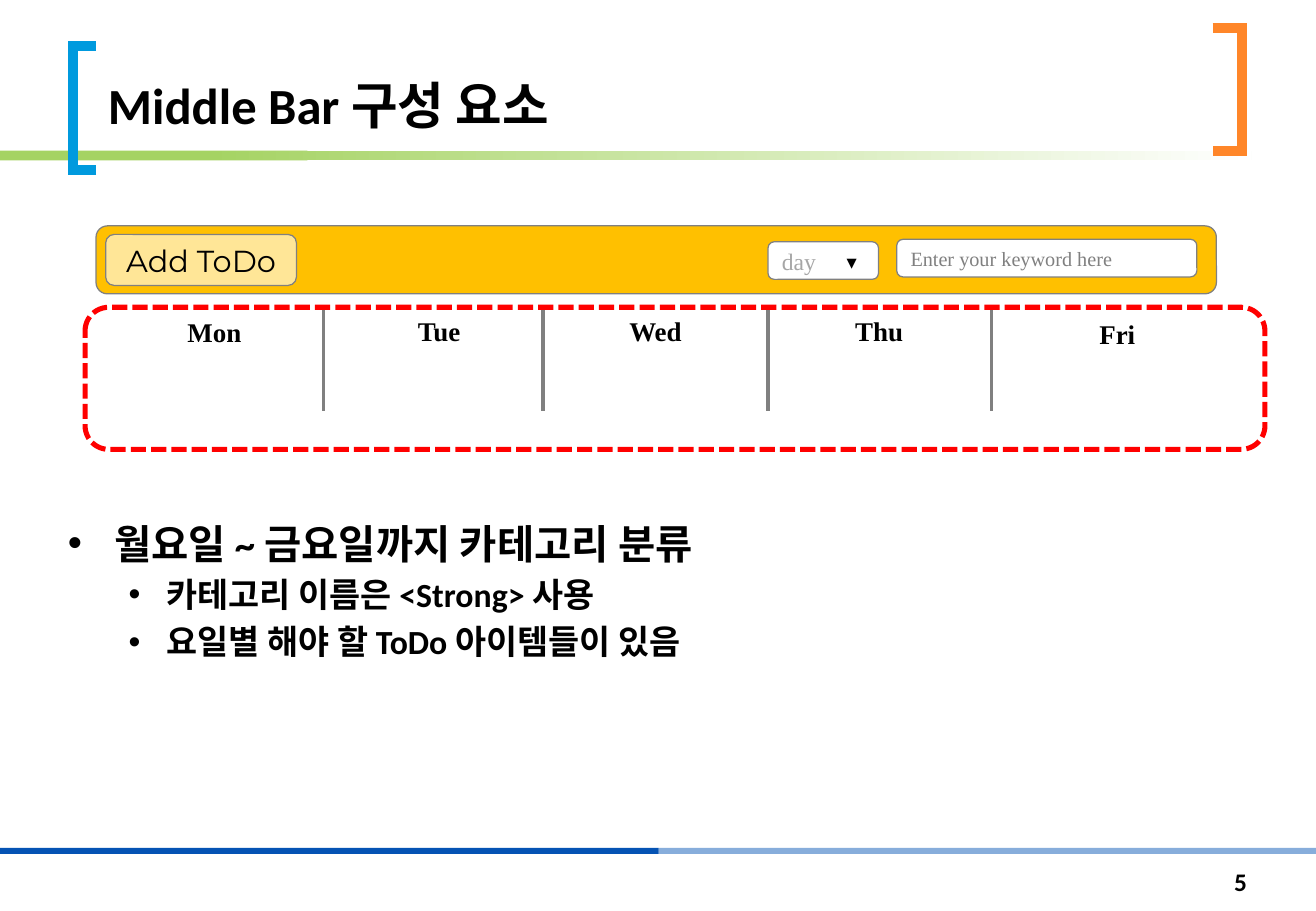
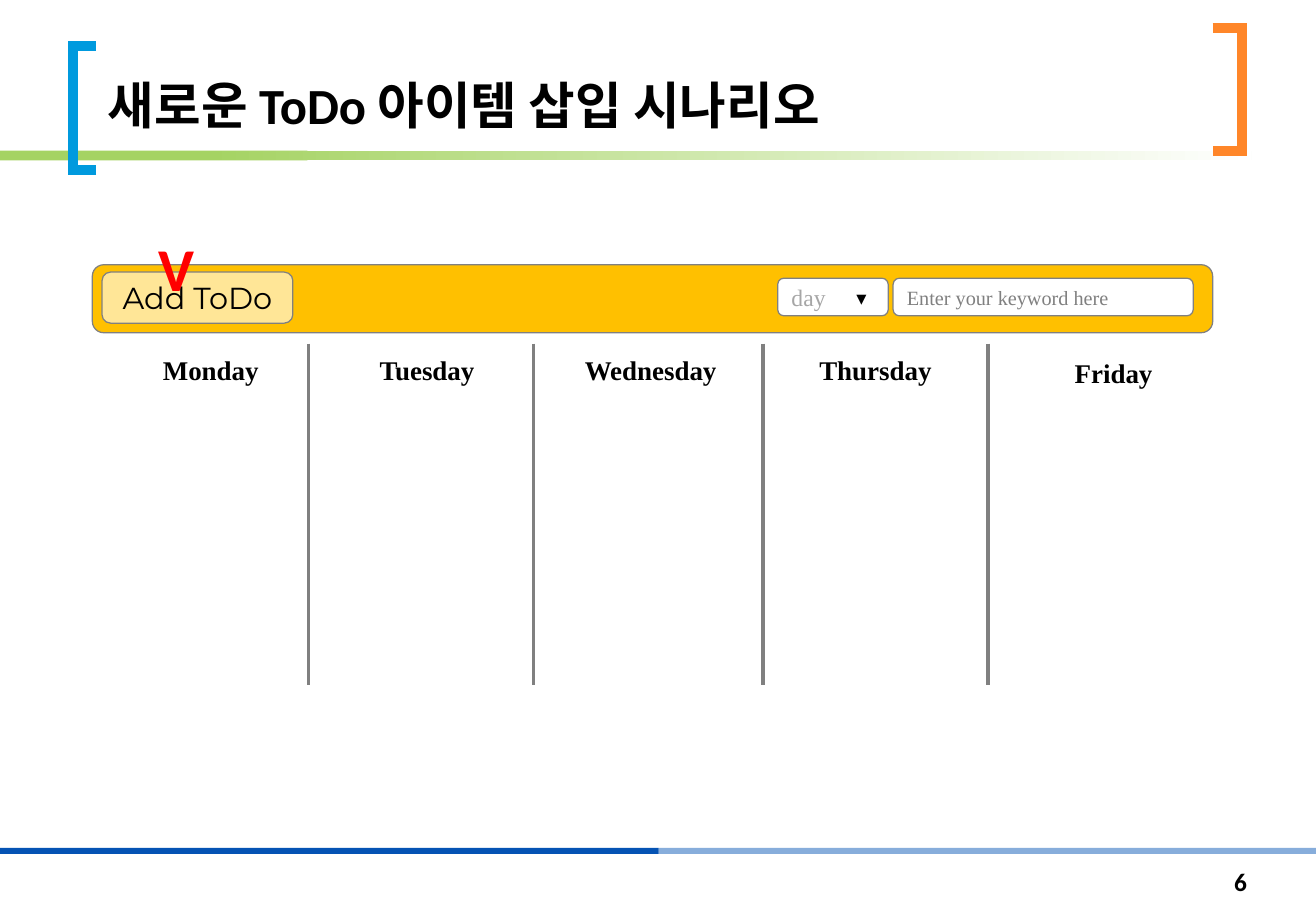
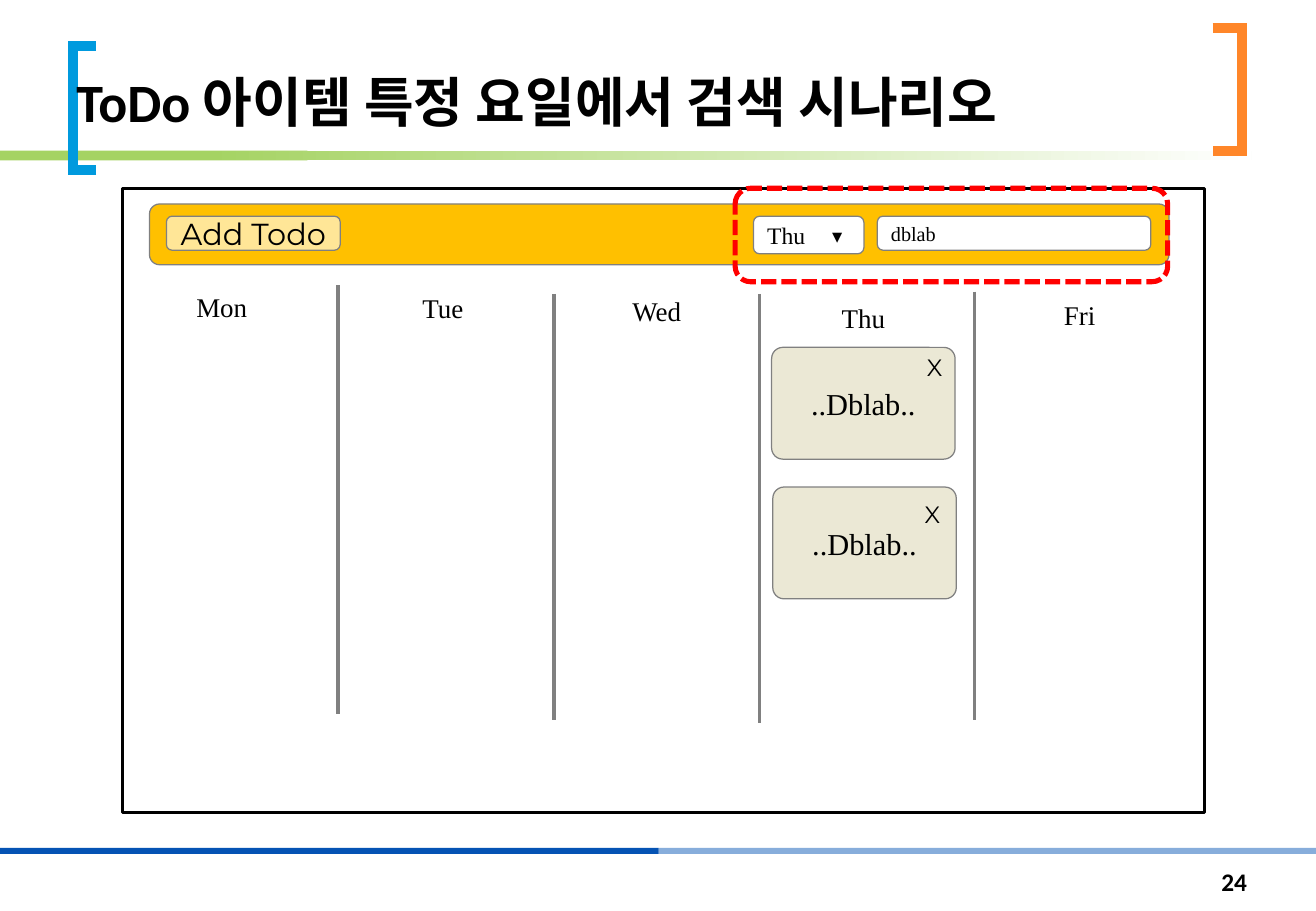
"""Build three slides on a weekly ToDo board."""
from lxml.etree import SubElement
from pptx import Presentation
from pptx.dml.color import RGBColor
from pptx.enum.dml import MSO_LINE
from pptx.enum.shapes import MSO_CONNECTOR, MSO_SHAPE
from pptx.enum.text import MSO_ANCHOR, MSO_AUTO_SIZE, PP_ALIGN
from pptx.oxml.ns import qn
from pptx.util import Pt

PX = 9144
INK = {
    "black": "000000", "white": "FFFFFF", "gray": "808080", "pale": "A6A6A6",
    "red": "FF0000", "amber": "FFC000", "cream": "FFE697", "sand": "EBE8D5",
    "green": "A5D363", "sky": "009ADE", "orange": "FF8629",
    "navy": "0553B4", "light": "87ADDB",
}
INK = {name: RGBColor.from_string(code) for name, code in INK.items()}
SANS, SERIF, ROUND = "Calibri", "Times New Roman", "Montserrat"
LEFT, MID, RIGHT = PP_ALIGN.LEFT, PP_ALIGN.CENTER, PP_ALIGN.RIGHT


def box(page, at, fill=None, edge=None, wide=0.75, kind=MSO_SHAPE.ROUNDED_RECTANGLE, curve=None):
    shape = page.shapes.add_shape(kind, *[n * PX for n in at])
    shape.shadow.inherit = False
    if fill:
        shape.fill.solid()
        shape.fill.fore_color.rgb = INK[fill]
    else:
        shape.fill.background()
    if edge:
        shape.line.color.rgb = INK[edge]
        shape.line.width = Pt(wide)
    else:
        shape.line.fill.background()
    if curve:
        shape.adjustments[0] = curve
    return shape


def write(shape, text, size, face, tint="black", bold=False, align=LEFT,
          wrap=False, anchor=MSO_ANCHOR.MIDDLE, grow=False, more=False):
    frame = shape.text_frame
    frame.word_wrap = wrap
    frame.vertical_anchor = anchor
    frame.auto_size = MSO_AUTO_SIZE.SHAPE_TO_FIT_TEXT if grow else MSO_AUTO_SIZE.NONE
    para = frame.add_paragraph() if more else frame.paragraphs[0]
    para.alignment = align
    run = para.add_run()
    run.text = text
    run.font.size = Pt(size)
    run.font.name = face
    run.font.bold = bold
    run.font.color.rgb = INK[tint]
    return para


BANDS = [((542, 698, 541, 5), "light"), ((0, 124, 253, 8), "green"),
         ((172, 124, 858, 8), "fade"), ((0, 698, 542, 5), "navy")]
HOOKS = [("sky", [(79, 140), (60, 140), (60, 38), (79, 38)]),
         ("orange", [(998, 23), (1022, 23), (1022, 124), (998, 124)])]

BOARDS = [
    dict(
        title="Middle Bar 구성 요소", head=(79, 4, 919, 112), size=30, num="5",
        bar=(79, 186, 922, 56), add=("Add ToDo", (87, 193, 157, 42)),
        key=("Enter your keyword here", (738, 197, 247, 31), "gray"),
        pick=("day", (632, 199, 91, 31), "pale"), bold=True, high=31,
        days=[("Mon", 70, 258, 213), ("Tue", 255, 257, 213), ("Wed", 433, 257, 213),
              ("Thu", 617, 257, 213), ("Fri", 824, 259, 191)],
        rules=[(x, 252, 338) for x in (266, 447, 632, 816)],
        dash=(70, 253, 971, 117),
        notes=[("월요일 ~ 금요일까지 카테고리 분류", 0),
               ("카테고리 이름은 <Strong> 사용", 1),
               ("요일별 해야 할 ToDo 아이템들이 있음", 1)],
    ),
    dict(
        title="새로운 ToDo 아이템 삽입 시나리오", head=(79, 4, 919, 112), size=30, num="6",
        bar=(76, 218, 922, 56), add=("Add ToDo", (84, 224, 157, 42)),
        key=("Enter your keyword here", (735, 229, 247, 31), "gray"),
        pick=("day", (640, 229, 91, 31), "pale"), bold=True, high=31,
        days=[("Monday", 67, 289, 213), ("Tuesday", 245, 289, 213), ("Wednesday", 429, 289, 213),
              ("Thursday", 614, 289, 213), ("Friday", 821, 291, 191)],
        rules=[(x, 283, 564) for x in (254, 439, 628, 813)],
        tick=(121, 185, 52, 71),
    ),
    dict(
        title="ToDo 아이템 특정 요일에서 검색 시나리오", head=(53, 3, 1030, 112), size=32, num="24",
        frame=(101, 155, 890, 514),
        bar=(123, 168, 839, 50), add=("Add Todo", (137, 178, 143, 28)),
        key=("dblab", (722, 178, 225, 28), "black"),
        pick=("Thu", (620, 178, 91, 31), "black"), bold=False, high=23,
        days=[("Mon", 107, 241, 151), ("Tue", 289, 242, 151), ("Wed", 465, 244, 151),
              ("Thu", 635, 250, 151), ("Fri", 813, 248, 151)],
        rules=[(278, 235, 588), (456, 242, 593), (625, 242, 595), (802, 240, 593)],
        cards=[((635, 286), (753, 286)), ((636, 401), (751, 407))],
        dash=(605, 155, 356, 77),
    ),
]

deck = Presentation()
deck.slide_width, deck.slide_height = 1083 * PX, 750 * PX

for board in BOARDS:
    page = deck.slides.add_slide(deck.slide_layouts[6])

    for at, tone in BANDS:
        band = box(page, at, None if tone == "fade" else tone, kind=MSO_SHAPE.RECTANGLE)
        if tone == "fade":
            band.fill.gradient()
            band.fill.gradient_angle = 0
            for stop, name, spot in zip(band.fill.gradient_stops, ("green", "white"), (0, 1)):
                stop.color.rgb = INK[name]
                stop.position = spot
    for tone, dots in HOOKS:
        pen = page.shapes.build_freeform(*dots[0], scale=PX)
        pen.add_line_segments(dots[1:], close=False)
        hook = pen.convert_to_shape()
        hook.shadow.inherit = False
        hook.fill.background()
        hook.line.color.rgb = INK[tone]
        hook.line.width = Pt(6)
        SubElement(hook.element.spPr.find(qn("a:ln")), qn("a:miter"), lim="800000")

    head = page.shapes.add_textbox(*[n * PX for n in board["head"]])
    write(head, board["title"], board["size"], SANS, bold=True, wrap=True, anchor=MSO_ANCHOR.BOTTOM)
    foot = page.shapes.add_textbox(888 * PX, 706 * PX, 148 * PX, 40 * PX)
    write(foot, board["num"], 15, SANS, bold=True, align=RIGHT, wrap=True)

    if "notes" in board:
        body = page.shapes.add_textbox(46 * PX, 422 * PX, 992 * PX, 265 * PX)
        for row, (text, level) in enumerate(board["notes"]):
            size, left, hang = ((24, 38, 38), (20, 81, 31))[level]
            para = write(body, text, size, SANS, bold=True, wrap=True,
                         anchor=MSO_ANCHOR.TOP, more=row > 0)
            para.level = level
            para.space_before = Pt(4 if row else 0)
            props = para._p.get_or_add_pPr()
            props.set("marL", str(left * PX))
            props.set("indent", str(-hang * PX))
            SubElement(props, qn("a:buFont"), typeface="Arial")
            SubElement(props, qn("a:buChar"), char="•")

    if "frame" in board:
        box(page, board["frame"], edge="black", wide=1.75, kind=MSO_SHAPE.RECTANGLE)
    box(page, board["bar"], "amber", "gray")
    text, at, tint = board["key"]
    write(box(page, at, "white", "gray"), text, 12, SERIF, tint)
    text, at = board["add"]
    write(box(page, at, "cream", "gray"), text, 18, ROUND, align=MID)

    for day, x, y, wide in board["days"]:
        label = box(page, (x, y, wide, board["high"]), "white", curve=0.35)
        write(label, day, 16, SERIF, bold=board["bold"], align=MID)
    for x, top, low in board["rules"]:
        rule = page.shapes.add_connector(MSO_CONNECTOR.STRAIGHT, x * PX, top * PX, x * PX, low * PX)
        rule.line.color.rgb = INK["gray"]
        rule.line.width = Pt(2)
        SubElement(rule.element.spPr, qn("a:effectLst"))

    for (x, y), (left, top) in board.get("cards", []):
        card = box(page, (x, y, 151, 92), "sand", "gray", curve=0.1)
        write(card, "..Dblab..", 18, SERIF, align=MID)
        cross = page.shapes.add_textbox(left * PX, top * PX, 28 * PX, 34 * PX)
        write(cross, "X", 14, ROUND, wrap=True, anchor=MSO_ANCHOR.TOP, grow=True)
    if "tick" in board:
        tick = page.shapes.add_textbox(*[n * PX for n in board["tick"]])
        write(tick, "V", 36, SANS, "red", bold=True, anchor=MSO_ANCHOR.TOP, grow=True)

    text, at, tint = board["pick"]
    write(box(page, at, "white", "gray"), text, 14, SERIF, tint)
    arrow = page.shapes.add_textbox((at[0] + 56) * PX, (at[1] - 1) * PX, 17 * PX, 34 * PX)
    write(arrow, "▼", 14, ROUND, wrap=True, anchor=MSO_ANCHOR.TOP, grow=True)
    if "dash" in board:
        box(page, board["dash"], edge="red", wide=3).line.dash_style = MSO_LINE.SQUARE_DOT

deck.save("out.pptx")
